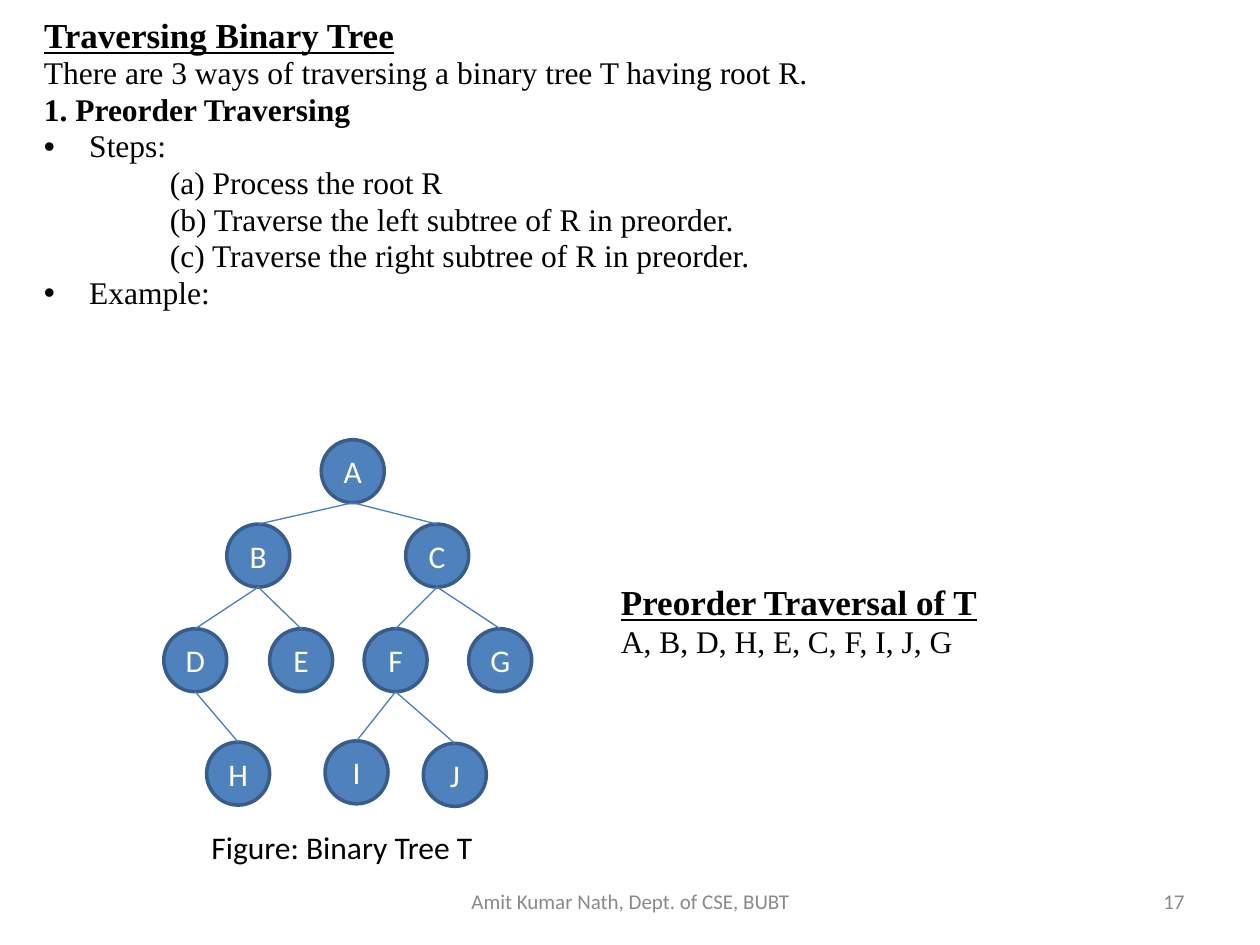
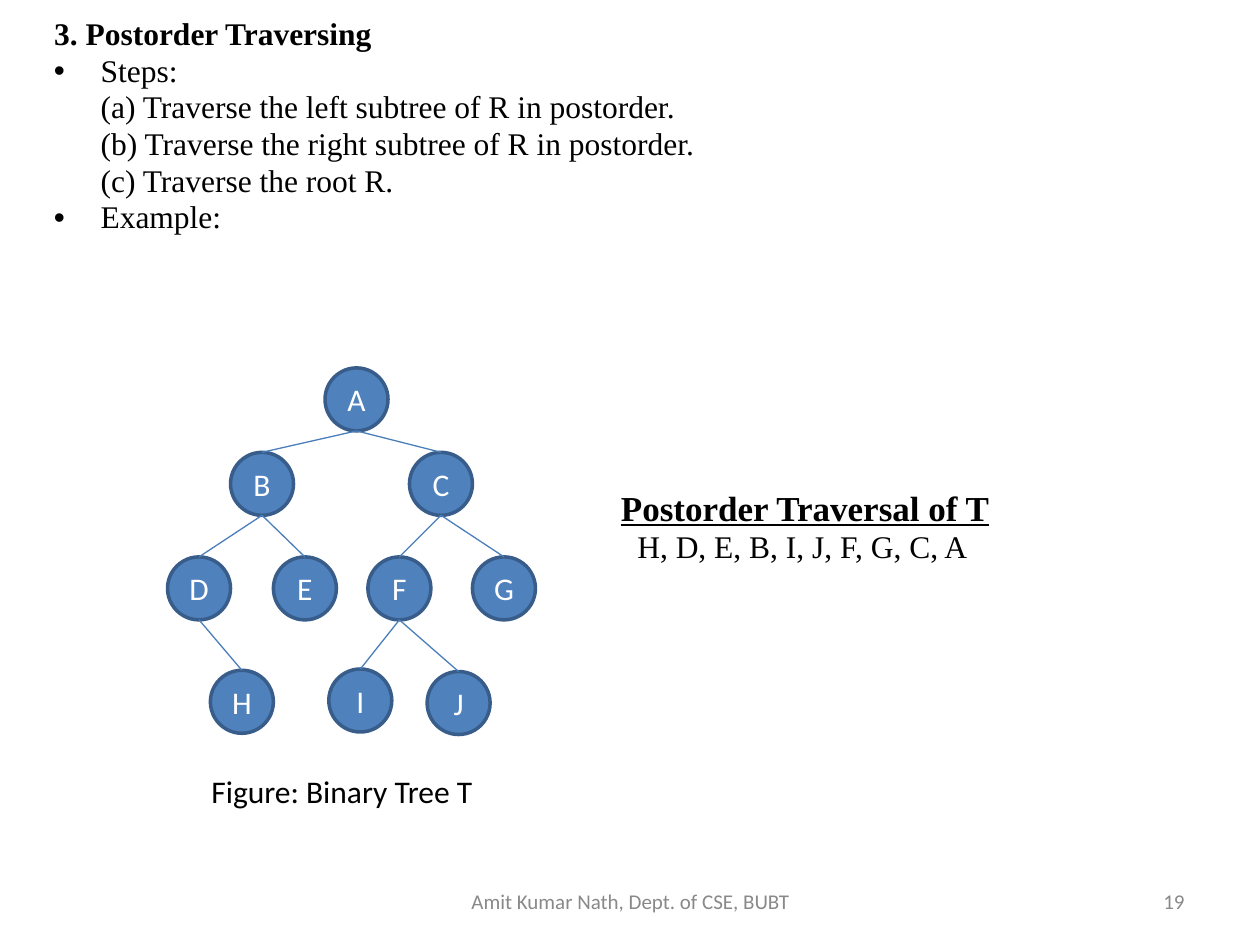
from dataclasses import dataclass

from lxml import etree
from pptx import Presentation
from pptx.dml.color import RGBColor
from pptx.enum.shapes import MSO_CONNECTOR, MSO_SHAPE
from pptx.enum.text import MSO_ANCHOR, MSO_AUTO_SIZE, PP_ALIGN
from pptx.oxml.ns import qn
from pptx.util import Inches, Pt

BLACK = RGBColor(0x00, 0x00, 0x00)
WHITE = RGBColor(0xFF, 0xFF, 0xFF)
FOOTER_GREY = RGBColor(0x89, 0x89, 0x89)
NODE_FILL = RGBColor(0x4F, 0x81, 0xBD)
NODE_LINE = RGBColor(0x38, 0x5D, 0x8A)
EDGE_LINE = RGBColor(0x4A, 0x7E, 0xBB)

SERIF = "Times New Roman"
SANS = "Calibri"
LEFT, CENTER, RIGHT = PP_ALIGN.LEFT, PP_ALIGN.CENTER, PP_ALIGN.RIGHT
TOP, MIDDLE = MSO_ANCHOR.TOP, MSO_ANCHOR.MIDDLE
NO_AUTOFIT = MSO_AUTO_SIZE.NONE
ELLIPSE = MSO_SHAPE.OVAL
STRAIGHT = MSO_CONNECTOR.STRAIGHT

TITLE_ONLY = 5
SERIF_SPACING = 0.97
FOOTER = "Amit Kumar Nath, Dept. of CSE, BUBT"
CAPTION = "Figure: Binary Tree T"

# Node offsets from the root, in inches, and the parent-child pairs.
NODE_SIZE = 0.5
NODES = {
    "A": (0, 0),
    "B": (-0.75, 0.67), "C": (0.67, 0.67),
    "D": (-1.25, 1.5), "E": (-0.41, 1.5), "F": (0.34, 1.5), "G": (1.17, 1.5),
    "H": (-0.91, 2.4), "I": (0.03, 2.39), "J": (0.81, 2.41),
}
EDGES = ("AB", "AC", "BE", "BD", "CG", "CF", "DH", "FI", "FJ")


@dataclass
class Line:
    text: str
    size: float = 18
    font: str = SERIF
    color: RGBColor = BLACK
    bold: bool = False
    underline: bool = False
    align: PP_ALIGN = LEFT
    spacing: float = SERIF_SPACING
    indent: float = 0
    bullet: bool = False


@dataclass
class Area:
    left: float
    top: float
    width: float
    height: float


@dataclass
class TraversalSlide:
    number: str
    title: Line
    title_area: Area
    body: list[Line]
    body_area: Area
    root: tuple[float, float]
    result: list[Line]
    result_top: float
    caption_top: float


def steps_and_example(bullet_indent: float, step_indent: float, *steps: str) -> list[Line]:
    return [
        Line("Steps:", indent=bullet_indent, bullet=True),
        *(Line(step, indent=step_indent) for step in steps),
        Line("Example:", indent=bullet_indent, bullet=True),
    ]


SLIDES = [
    TraversalSlide(
        number="17",
        title=Line("Traversing Binary Tree", 20, bold=True, underline=True),
        title_area=Area(0.25, 0.08, 9.25, 0.41),
        body=[
            Line("There are 3 ways of traversing a binary tree T having root R."),
            Line("1. Preorder Traversing", bold=True),
            *steps_and_example(
                0.36, 1,
                "(a) Process the root R",
                "(b) Traverse the left subtree of R in preorder.",
                "(c) Traverse the right subtree of R in preorder.",
            ),
        ],
        body_area=Area(0.25, 0.39, 9.25, 2.44),
        root=(2.55, 3.49),
        result=[
            Line("Preorder Traversal of T", 20, bold=True, underline=True),
            Line("A, B, D, H, E, C, F, I, J, G"),
        ],
        result_top=4.58,
        caption_top=6.52,
    ),
    TraversalSlide(
        number="19",
        title=Line("3. Postorder Traversing", bold=True),
        title_area=Area(0.33, 0.08, 9.25, 0.38),
        body=steps_and_example(
            0.37, 0.37,
            "(a) Traverse the left subtree of R in postorder.",
            "(b) Traverse the right subtree of R in postorder.",
            "(c) Traverse the root R.",
        ),
        body_area=Area(0.33, 0.37, 9.25, 1.85),
        root=(2.58, 2.92),
        result=[
            Line("Postorder Traversal of T", 20, bold=True, underline=True),
            Line("H, D, E, B, I, J, F, G, C, A", indent=0.13),
        ],
        result_top=3.83,
        caption_top=6.08,
    ),
]


def indent_paragraph(para, line: Line) -> None:
    properties = para._p.get_or_add_pPr()
    properties.set("marL", str(Inches(line.indent)))
    properties.set("indent", str(-Inches(line.indent) if line.bullet else 0))
    if line.bullet:
        etree.SubElement(properties, qn("a:buFont"), typeface="Arial")
        etree.SubElement(properties, qn("a:buChar"), char="•")


def write_lines(shape, lines: list[Line], anchor=TOP) -> None:
    frame = shape.text_frame
    frame.word_wrap = True
    frame.auto_size = NO_AUTOFIT
    frame.vertical_anchor = anchor
    for index, line in enumerate(lines):
        para = frame.add_paragraph() if index else frame.paragraphs[0]
        para.text = line.text
        para.alignment = line.align
        para.line_spacing = line.spacing
        para.font.name = line.font
        para.font.size = Pt(line.size)
        para.font.bold = line.bold
        para.font.underline = line.underline
        para.font.color.rgb = line.color
        if line.indent:
            indent_paragraph(para, line)


def add_text(page, area: Area, lines: list[Line], anchor=TOP) -> None:
    box = page.shapes.add_textbox(
        Inches(area.left), Inches(area.top), Inches(area.width), Inches(area.height)
    )
    write_lines(box, lines, anchor)


def set_title(page, area: Area, line: Line) -> None:
    title = page.shapes.title
    title.left, title.top = Inches(area.left), Inches(area.top)
    title.width, title.height = Inches(area.width), Inches(area.height)
    write_lines(title, [line])


def add_node(tree, label: str, left: float, top: float):
    node = tree.shapes.add_shape(
        ELLIPSE, Inches(left), Inches(top), Inches(NODE_SIZE), Inches(NODE_SIZE)
    )
    node.shadow.inherit = False
    node.fill.solid()
    node.fill.fore_color.rgb = NODE_FILL
    node.line.color.rgb = NODE_LINE
    node.line.width = Pt(2)
    label_line = Line(label, font=SANS, color=WHITE, align=CENTER, spacing=1.0)
    write_lines(node, [label_line], MIDDLE)
    return node


def add_edge(tree, parent, child) -> None:
    """Join the bottom of the parent to the top of the child."""
    edge = tree.shapes.add_connector(
        STRAIGHT,
        parent.left + parent.width // 2, parent.top + parent.height,
        child.left + child.width // 2, child.top,
    )
    edge.line.color.rgb = EDGE_LINE
    edge.line.width = Pt(0.75)
    etree.SubElement(edge._element.spPr, qn("a:effectLst"))


def add_tree(page, root: tuple[float, float]) -> None:
    tree = page.shapes.add_group_shape()
    root_left, root_top = root
    nodes = {
        label: add_node(tree, label, root_left + across, root_top + down)
        for label, (across, down) in NODES.items()
    }
    for parent, child in EDGES:
        add_edge(tree, nodes[parent], nodes[child])


def add_footer(page, number: str) -> None:
    for text, align, left, width in (
        (FOOTER, CENTER, 3.42, 3.17),
        (number, RIGHT, 7.17, 2.33),
    ):
        line = Line(text, 12, SANS, FOOTER_GREY, align=align, spacing=1.0)
        add_text(page, Area(left, 6.95, width, 0.4), [line], MIDDLE)


def add_traversal_slide(deck, content: TraversalSlide) -> None:
    page = deck.slides.add_slide(deck.slide_layouts[TITLE_ONLY])
    set_title(page, content.title_area, content.title)
    add_footer(page, content.number)
    add_text(page, content.body_area, content.body)
    add_tree(page, content.root)
    add_text(page, Area(4.83, content.result_top, 4, 0.72), content.result)
    caption = Line(CAPTION, font=SANS, spacing=1.0)
    add_text(page, Area(1.58, content.caption_top, 4.5, 0.4), [caption])


def main() -> None:
    deck = Presentation()
    deck.slide_width, deck.slide_height = Inches(10), Inches(7.5)
    for content in SLIDES:
        add_traversal_slide(deck, content)
    deck.save("out.pptx")


if __name__ == "__main__":
    main()
